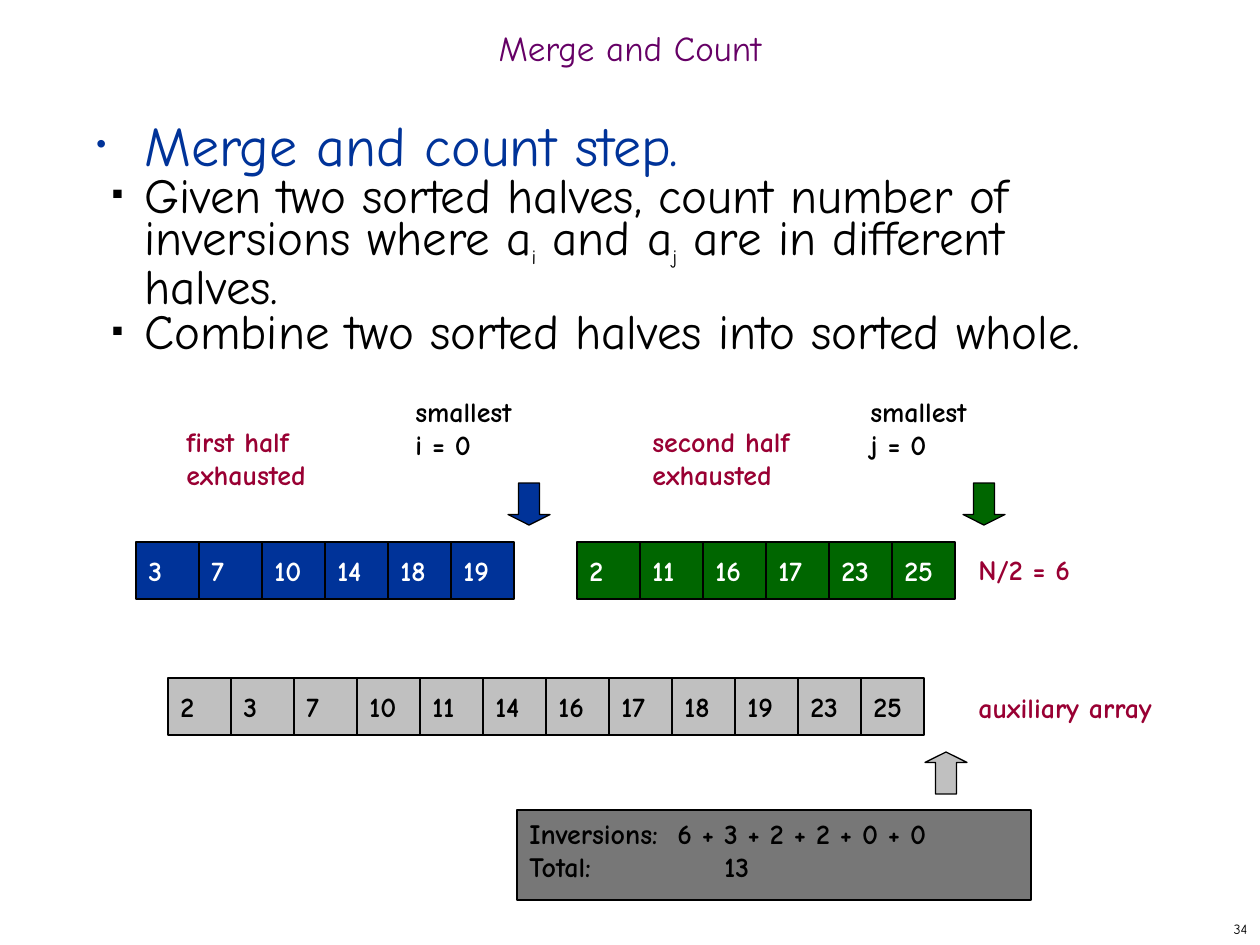
from lxml.etree import SubElement
from pptx import Presentation
from pptx.dml.color import RGBColor
from pptx.enum.shapes import MSO_SHAPE
from pptx.enum.text import MSO_ANCHOR, PP_ALIGN
from pptx.oxml.ns import qn
from pptx.util import Pt

EMU_PER_PX = 914400 / 126
FONT = "Comic Neue"
BLACK = RGBColor(0x00, 0x00, 0x00)
WHITE = RGBColor(0xFF, 0xFF, 0xFF)
BLUE = RGBColor(0x00, 0x33, 0x99)
GREEN = RGBColor(0x00, 0x66, 0x00)
PURPLE = RGBColor(0x66, 0x00, 0x66)
CRIMSON = RGBColor(0x99, 0x00, 0x33)
SILVER = RGBColor(0xC0, 0xC0, 0xC0)
GRAY = RGBColor(0x77, 0x77, 0x77)

CELL_WIDTH, CELL_HEIGHT = 63, 57
ARROW_SIZE = 42


def px(length):
    return round(length * EMU_PER_PX)


def box_px(*lengths):
    return [px(length) for length in lengths]


def add_run(paragraph, text, size=16, color=BLACK, bold=False, baseline=None):
    run = paragraph.add_run()
    run.text = text
    run.font.name = FONT
    run.font.size = Pt(size)
    run.font.bold = bold
    run.font.color.rgb = color
    if baseline is not None:
        run.font._element.set("baseline", str(baseline))


def write(frame, text, align=PP_ALIGN.LEFT, anchor=MSO_ANCHOR.TOP,
          line_spacing=None, **font):
    """Fill a text frame; each newline becomes a line break."""
    frame.word_wrap = True
    frame.vertical_anchor = anchor
    paragraph = frame.paragraphs[0]
    paragraph.alignment = align
    if line_spacing:
        paragraph.line_spacing = line_spacing
    for index, line in enumerate(text.split("\n")):
        if index:
            paragraph.add_line_break()
        add_run(paragraph, line, **font)
    return paragraph


def add_label(slide, box, text, **form):
    write(slide.shapes.add_textbox(*box_px(*box)).text_frame, text, **form)


def add_filled(slide, preset, box, fill):
    shape = slide.shapes.add_shape(preset, *box_px(*box))
    shape.shadow.inherit = False
    shape.fill.solid()
    shape.fill.fore_color.rgb = fill
    shape.line.color.rgb = BLACK
    shape.line.width = Pt(0.75)
    return shape


def add_arrow(slide, left, top, fill, preset=MSO_SHAPE.DOWN_ARROW):
    arrow = add_filled(slide, preset, (left, top, ARROW_SIZE, ARROW_SIZE), fill)
    arrow.adjustments[0] = 0.5
    arrow.adjustments[1] = 0.25


def add_array(slide, left, top, values, fill, color):
    for index, value in enumerate(values):
        box = (left + index * CELL_WIDTH, top, CELL_WIDTH, CELL_HEIGHT)
        cell = add_filled(slide, MSO_SHAPE.RECTANGLE, box, fill)
        write(cell.text_frame, str(value), anchor=MSO_ANCHOR.MIDDLE,
              color=color, bold=True)


def add_half(slide, left, top, values, fill, pointer, pointer_left, status, status_left):
    """One sorted half with its pointer; top is that of the pointer label."""
    add_label(slide, (left + pointer_left, top, 262, 88),
              f"smallest\n{pointer} = 0", bold=True)
    add_label(slide, (left + status_left, top + 30, 242, 88), status,
              color=CRIMSON, bold=True)
    add_arrow(slide, left + pointer_left + 105, top + 95, fill)
    add_array(slide, left, top + 154, values, fill, WHITE)


def set_bullet(paragraph, char, color, percent, indent):
    properties = paragraph._p.get_or_add_pPr()
    properties.set("marL", str(px(48)))
    properties.set("indent", str(px(-indent)))
    bullet_color = SubElement(properties, qn("a:buClr"))
    SubElement(bullet_color, qn("a:srgbClr"), val=str(color))
    SubElement(properties, qn("a:buSzPct"), val=str(percent * 1000))
    SubElement(properties, qn("a:buFont"), typeface="Arial")
    SubElement(properties, qn("a:buChar"), char=char)


def add_steps(slide, box):
    frame = slide.shapes.add_textbox(*box_px(*box)).text_frame
    heading = write(frame, "Merge and count step.", line_spacing=Pt(26),
                    size=32, color=BLUE)
    set_bullet(heading, "•", BLUE, 50, 48)
    steps = [
        [("Given two sorted halves, count number of inversions where a", False),
         ("i", True), (" and a", False), ("j", True),
         (" are in different halves.", False)],
        [("Combine two sorted halves into sorted whole.", False)],
    ]
    for step in steps:
        paragraph = frame.add_paragraph()
        paragraph.level = 1
        paragraph.line_spacing = Pt(26)
        set_bullet(paragraph, "■", BLACK, 35, 32)
        for text, is_subscript in step:
            if is_subscript:
                add_run(paragraph, text, size=20, baseline=-25000)
            else:
                add_run(paragraph, text, size=28)


def add_inversion_total(slide, box):
    panel = add_filled(slide, MSO_SHAPE.RECTANGLE, box, GRAY)
    paragraph = write(panel.text_frame,
                      "Inversions:\t6 + 3 + 2 + 2 + 0 + 0\nTotal:\t\t13", bold=True)
    stops = SubElement(paragraph._p.get_or_add_pPr(), qn("a:tabLst"))
    for position in (148, 195):
        SubElement(stops, qn("a:tab"), pos=str(px(position)), algn="l")


def add_title(slide, box, text):
    title = slide.shapes.title
    title.left, title.top, title.width, title.height = box_px(*box)
    write(title.text_frame, text, align=PP_ALIGN.CENTER, anchor=MSO_ANCHOR.MIDDLE,
          line_spacing=0.7, size=20, color=PURPLE)


def main():
    deck = Presentation()
    deck.slide_width, deck.slide_height = box_px(1260, 945)
    slide = deck.slides.add_slide(deck.slide_layouts[5])

    first_half = [3, 7, 10, 14, 18, 19]
    second_half = [2, 11, 16, 17, 23, 25]

    add_title(slide, (0, 21, 1260, 63), "Merge and Count")
    add_steps(slide, (84, 126, 1081, 250))
    add_half(slide, 136, 388, first_half, BLUE, "i", 267,
             "first half\nexhausted", 38)
    add_half(slide, 577, 388, second_half, GREEN, "j", 281,
             "second half\nexhausted", 63)
    add_label(slide, (966, 546, 158, 50), "N/2 = 6", color=CRIMSON, bold=True)

    add_array(slide, 168, 678, sorted(first_half + second_half), SILVER, BLACK)
    add_label(slide, (966, 684, 262, 50), "auxiliary array", color=CRIMSON, bold=True)
    add_arrow(slide, 925, 752, SILVER, MSO_SHAPE.UP_ARROW)
    add_inversion_total(slide, (517, 810, 514, 90))

    add_label(slide, (998, 913, 262, 32), "34", align=PP_ALIGN.RIGHT,
              anchor=MSO_ANCHOR.MIDDLE, size=8)
    deck.save("out.pptx")


if __name__ == "__main__":
    main()
